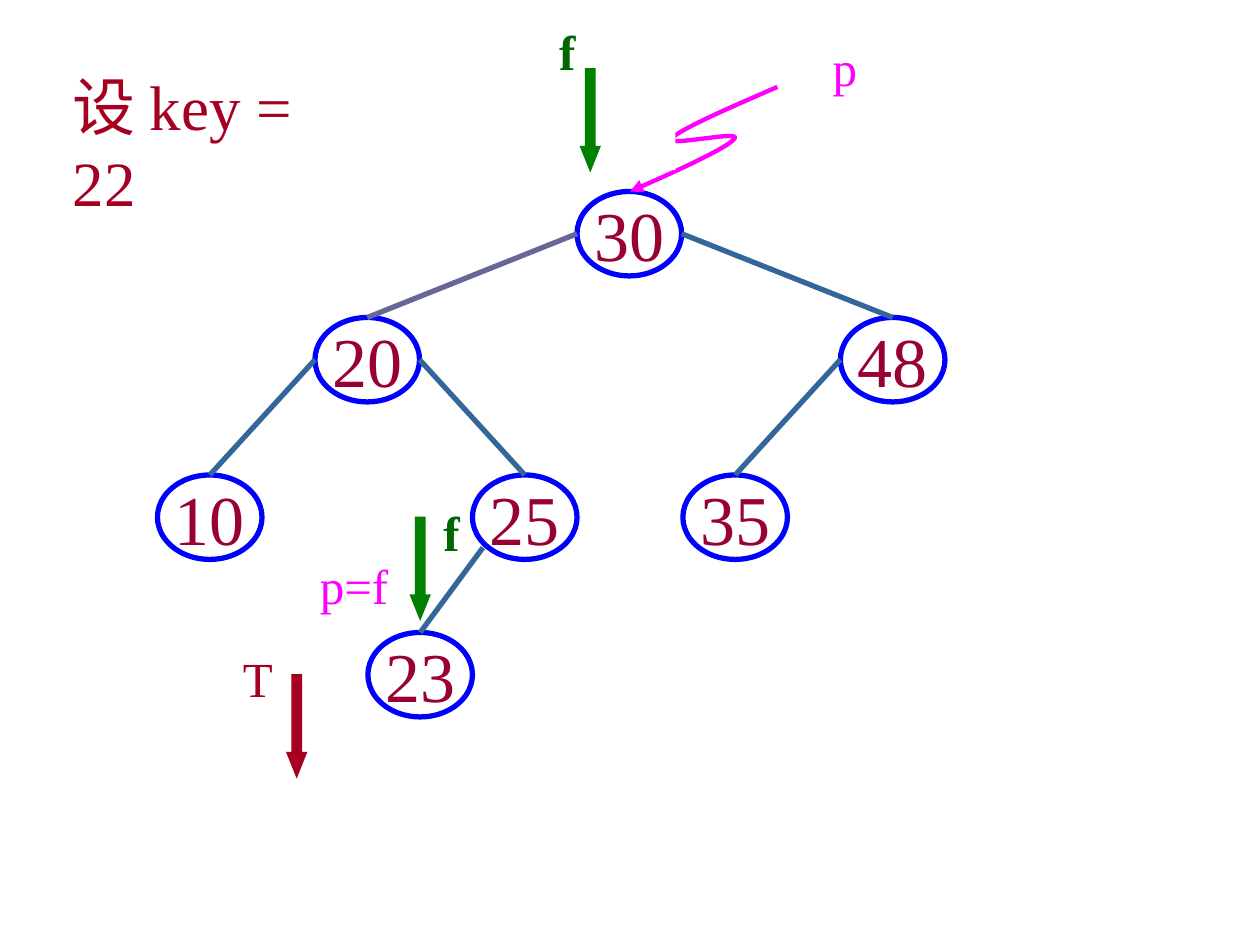
from lxml import etree
from pptx import Presentation
from pptx import util as u
from pptx.dml import color
from pptx.enum import shapes, text
from pptx.oxml import ns

CRIMSON, MAGENTA, GREEN = "A50021", "FF00FF", "008000"
NODE_WIDTH, NODE_HEIGHT = 0.83, 0.67


def rgb(value):
    return color.RGBColor.from_string(value)


def write(shape, content, size, colour, bold=False):
    paragraph = shape.text_frame.paragraphs[0]
    run = paragraph.add_run()
    run.text = content
    font_format = {"name": "Times New Roman", "size": u.Pt(size), "bold": bold}
    for name, value in font_format.items():
        setattr(run.font, name, value)
    run.font.color.rgb = rgb(colour)
    return paragraph


presentation = Presentation()
presentation.slide_width = u.Inches(10)
presentation.slide_height = u.Inches(7.5)
slide = presentation.slides.add_slide(presentation.slide_layouts[6])

labels = [
    ("设 key = 22", 0.48, 0.49, 2.5, 0.7, 36, CRIMSON, False, True),
    ("T", 1.83, 5.1, 0.44, 0.57, 28, CRIMSON, False, False),
    ("f", 3.42, 3.94, 0.33, 0.57, 28, "006600", True, False),
    ("p=f", 2.44, 4.36, 0.74, 0.57, 28, MAGENTA, False, False),
    ("p", 6.51, 0.25, 0.4, 0.57, 28, MAGENTA, False, False),
    ("f", 4.34, 0.12, 0.33, 0.57, 28, "006600", True, False),
]
for content, left, top, width, height, size, colour, bold, wrap in labels:
    label = slide.shapes.add_textbox(
        u.Inches(left), u.Inches(top), u.Inches(width), u.Inches(height))
    label.text_frame.word_wrap = wrap
    write(label, content, size, colour, bold)

pointers = [(2.27, 5.35, CRIMSON), (3.25, 4.1, GREEN), (4.6, 0.54, GREEN)]
for left, top, colour in pointers:
    pointer = slide.shapes.add_shape(
        shapes.MSO_SHAPE.DOWN_ARROW,
        u.Inches(left), u.Inches(top), u.Inches(0.17), u.Inches(0.83))
    pointer.shadow.inherit = False
    pointer.adjustments[0] = 0.5
    pointer.adjustments[1] = 1.25
    pointer.fill.solid()
    pointer.fill.fore_color.rgb = rgb(colour)
    pointer.line.fill.background()

nodes = {
    "30": (4.58, 1.52),
    "20": (2.5, 2.52),
    "10": (1.25, 3.77),
    "48": (6.67, 2.52),
    "35": (5.42, 3.77),
    "25": (3.75, 3.77),
    "23": (2.92, 5.02),
}
for key, (left, top) in nodes.items():
    node = slide.shapes.add_shape(
        shapes.MSO_SHAPE.OVAL, u.Inches(left), u.Inches(top),
        u.Inches(NODE_WIDTH), u.Inches(NODE_HEIGHT))
    node.shadow.inherit = False
    node.fill.background()
    node.line.color.rgb = rgb("0000FF")
    node.line.width = u.Pt(3)
    node.text_frame.word_wrap = False
    node.text_frame.vertical_anchor = text.MSO_ANCHOR.MIDDLE
    write(node, key, 40, "990033").alignment = text.PP_ALIGN.CENTER

edges = [
    ("30", "20", 0, 0.5, "666699"),
    ("30", "48", 1, 0.5, "336699"),
    ("20", "10", 0, 0.5, "336699"),
    ("20", "25", 1, 0.5, "336699"),
    ("25", "23", 0.1, 0.86, "336699"),
    ("48", "35", 0, 0.5, "336699"),
]
for parent, child, across, down, colour in edges:
    parent_left, parent_top = nodes[parent]
    child_left, child_top = nodes[child]
    edge = slide.shapes.add_connector(
        shapes.MSO_CONNECTOR.STRAIGHT,
        u.Inches(parent_left + across * NODE_WIDTH),
        u.Inches(parent_top + down * NODE_HEIGHT),
        u.Inches(child_left + NODE_WIDTH / 2), u.Inches(child_top))
    edge.line.color.rgb = rgb(colour)
    edge.line.width = u.Pt(3)
    etree.SubElement(edge.element.spPr, ns.qn("a:effectLst"))

start = (6.17, 0.69)
curves = [
    ((5.78, 0.86), (5.39, 1.03), (5.33, 1.1)),
    ((5.28, 1.17), (5.89, 1.03), (5.83, 1.1)),
    ((5.78, 1.17), (5.39, 1.35), (5, 1.52)),
]
points = [tuple(u.Inches(value) for value in start)]
for first, second, end in curves:
    for step in range(1, 21):
        t = step / 20
        points.append(tuple(
            u.Inches((1 - t) ** 3 * a + 3 * t * (1 - t) ** 2 * b
                     + 3 * t ** 2 * (1 - t) * c + t ** 3 * d)
            for a, b, c, d in zip(start, first, second, end)))
    start = end
builder = slide.shapes.build_freeform(*points[0])
builder.add_line_segments(points[1:], close=False)
squiggle = builder.convert_to_shape()
squiggle.shadow.inherit = False
squiggle.fill.background()
squiggle.line.color.rgb = rgb(MAGENTA)
squiggle.line.width = u.Pt(2.5)
outline = squiggle.element.spPr.find(ns.qn("a:ln"))
etree.SubElement(outline, ns.qn("a:round"))
etree.SubElement(outline, ns.qn("a:tailEnd"), type="triangle")

mask = slide.shapes.add_shape(
    shapes.MSO_SHAPE.RECTANGLE,
    u.Inches(4.78), u.Inches(0), u.Inches(0.58), u.Inches(1.35))
mask.shadow.inherit = False
mask.fill.solid()
mask.fill.fore_color.rgb = rgb("FFFFFF")
mask.line.fill.background()

presentation.save("out.pptx")
